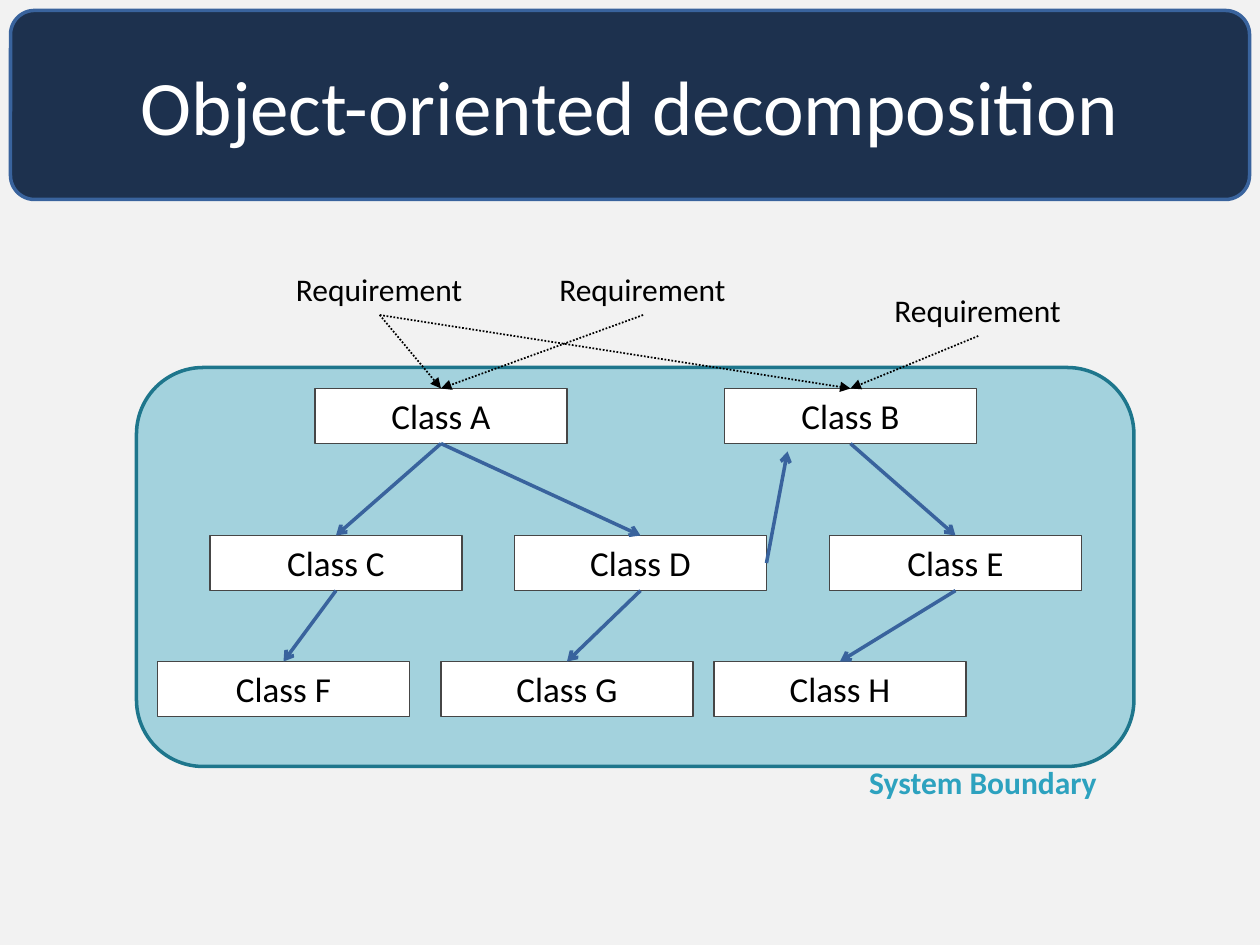
from pptx import Presentation
from pptx.dml.color import RGBColor
from pptx.enum.dml import MSO_LINE
from pptx.enum.shapes import MSO_CONNECTOR, MSO_SHAPE
from pptx.enum.text import MSO_ANCHOR, MSO_AUTO_SIZE, PP_ALIGN
from pptx.oxml.ns import qn
from pptx.util import Pt
from lxml.etree import SubElement

BACKGROUND = RGBColor(0xF2, 0xF2, 0xF2)
NAVY = RGBColor(0x1D, 0x31, 0x4E)
BLUE = RGBColor(0x39, 0x63, 0x9D)
TEAL = RGBColor(0x2D, 0xA2, 0xBF)
DARK_TEAL = RGBColor(0x1E, 0x76, 0x8C)
GRAY = RGBColor(0x46, 0x46, 0x46)
BLACK = RGBColor(0, 0, 0)
WHITE = RGBColor(0xFF, 0xFF, 0xFF)

TOP, RIGHT, BOTTOM = 0, 3, 2
BANNER = (6, 6, 708, 108)
CLASS_SIZE = (144, 31.5)
REQUIREMENT_SIZE = (110, 29)

# Row top -> left edge of each class
CLASS_ROWS = {
    222: {"A": 180, "B": 414},
    306: {"C": 120, "D": 294, "E": 474},
    378: {"F": 90, "G": 252, "H": 408},
}
REQUIREMENTS = [(162, 151), (312.5, 151), (504, 163)]
REQUIREMENT_LINKS = [(0, "A"), (1, "A"), (0, "B"), (2, "B")]
CLASS_LINKS = ["AC", "AD", "BE", "DG", "CF", "EH"]


class SlideBuilder:
    """Draws the elements of one slide in a shared style."""

    font = "Calibri"

    def __init__(self, page):
        self.page = page
        page.background.fill.solid()
        page.background.fill.fore_color.rgb = BACKGROUND

    def add_text(self, shape, text, size, color, align=PP_ALIGN.LEFT, bold=False,
                 **frame_format):
        frame = shape.text_frame
        for name, value in frame_format.items():
            setattr(frame, name, value)
        para = frame.paragraphs[0]
        para.alignment = align
        span = para.add_run()
        span.text = text
        span.font.color.rgb = color
        for name, value in {"name": self.font, "size": Pt(size), "bold": bold}.items():
            setattr(span.font, name, value)

    def title(self, text, bounds):
        box = self.page.shapes.title
        for name, value in zip(("left", "top", "width", "height"), bounds):
            setattr(box, name, Pt(value))
        self.add_text(box, text, 44, WHITE, PP_ALIGN.CENTER, word_wrap=True,
                      auto_size=MSO_AUTO_SIZE.NONE, vertical_anchor=MSO_ANCHOR.MIDDLE)
        return box

    def box(self, kind, bounds, fill, line, width, corner=None, opacity=None):
        box = self.page.shapes.add_shape(kind, *map(Pt, bounds))
        box.shadow.inherit = False
        box.fill.solid()
        box.fill.fore_color.rgb = fill
        box.line.color.rgb = line
        box.line.width = Pt(width)
        if corner is not None:
            box.adjustments[0] = corner
        if opacity is not None:
            color = box.element.spPr.find(qn("a:solidFill"))[0]
            SubElement(color, qn("a:alpha"), val=str(opacity * 1000))
        return box

    def class_box(self, text, left, top):
        box = self.box(MSO_SHAPE.RECTANGLE, (left, top, *CLASS_SIZE), WHITE, GRAY, 0.75)
        self.add_text(box, text, 20, BLACK, PP_ALIGN.CENTER, word_wrap=True,
                      auto_size=MSO_AUTO_SIZE.SHAPE_TO_FIT_TEXT,
                      vertical_anchor=MSO_ANCHOR.TOP)
        return box

    def label(self, text, bounds, color=BLACK, bold=False, wrap=False):
        box = self.page.shapes.add_textbox(*map(Pt, bounds))
        self.add_text(box, text, 18, color, bold=bold, word_wrap=wrap,
                      auto_size=MSO_AUTO_SIZE.SHAPE_TO_FIT_TEXT)
        return box

    def arrow(self, start, side, target=None, end=(0, 0), color=BLUE, width=2,
              head="arrow", dash=None):
        """Joins a side of start to the top of target, or to the free point end."""
        line = self.page.shapes.add_connector(MSO_CONNECTOR.STRAIGHT, 0, 0, *map(Pt, end))
        line.begin_connect(start, side)
        if target is not None:
            line.end_connect(target, TOP)
        line.line.color.rgb = color
        line.line.width = Pt(width)
        if dash is not None:
            line.line.dash_style = dash
        properties = line.element.spPr
        SubElement(properties.find(qn("a:ln")), qn("a:tailEnd"), type=head)
        SubElement(properties, qn("a:effectLst"))


def main():
    deck = Presentation()
    deck.slide_width, deck.slide_height = Pt(720), Pt(540)
    builder = SlideBuilder(deck.slides.add_slide(deck.slide_layouts[5]))

    # Banner behind the title
    title = builder.title("Object-oriented decomposition", BANNER)
    banner = builder.box(MSO_SHAPE.ROUNDED_RECTANGLE, BANNER, NAVY, BLUE, 2, corner=0.127)
    title.element.addprevious(banner.element)

    # System boundary
    builder.box(MSO_SHAPE.ROUNDED_RECTANGLE, (78, 210, 570, 228), TEAL, DARK_TEAL, 2,
                corner=0.167, opacity=40)
    builder.label("System Boundary", (489.6, 432.7, 230.4, 29), TEAL, bold=True, wrap=True)

    # Requirements and classes
    requirements = [builder.label("Requirement", (*place, *REQUIREMENT_SIZE))
                    for place in REQUIREMENTS]
    classes = {letter: builder.class_box(f"Class {letter}", left, top)
               for top, row in CLASS_ROWS.items() for letter, left in row.items()}

    # Dotted links from requirements, solid links between classes
    for index, letter in REQUIREMENT_LINKS:
        builder.arrow(requirements[index], BOTTOM, classes[letter], color=BLACK, width=1,
                      head="triangle", dash=MSO_LINE.ROUND_DOT)
    for parent, child in CLASS_LINKS:
        builder.arrow(classes[parent], BOTTOM, classes[child])
    builder.arrow(classes["D"], RIGHT, end=(450, 258))

    deck.save("out.pptx")


if __name__ == "__main__":
    main()
